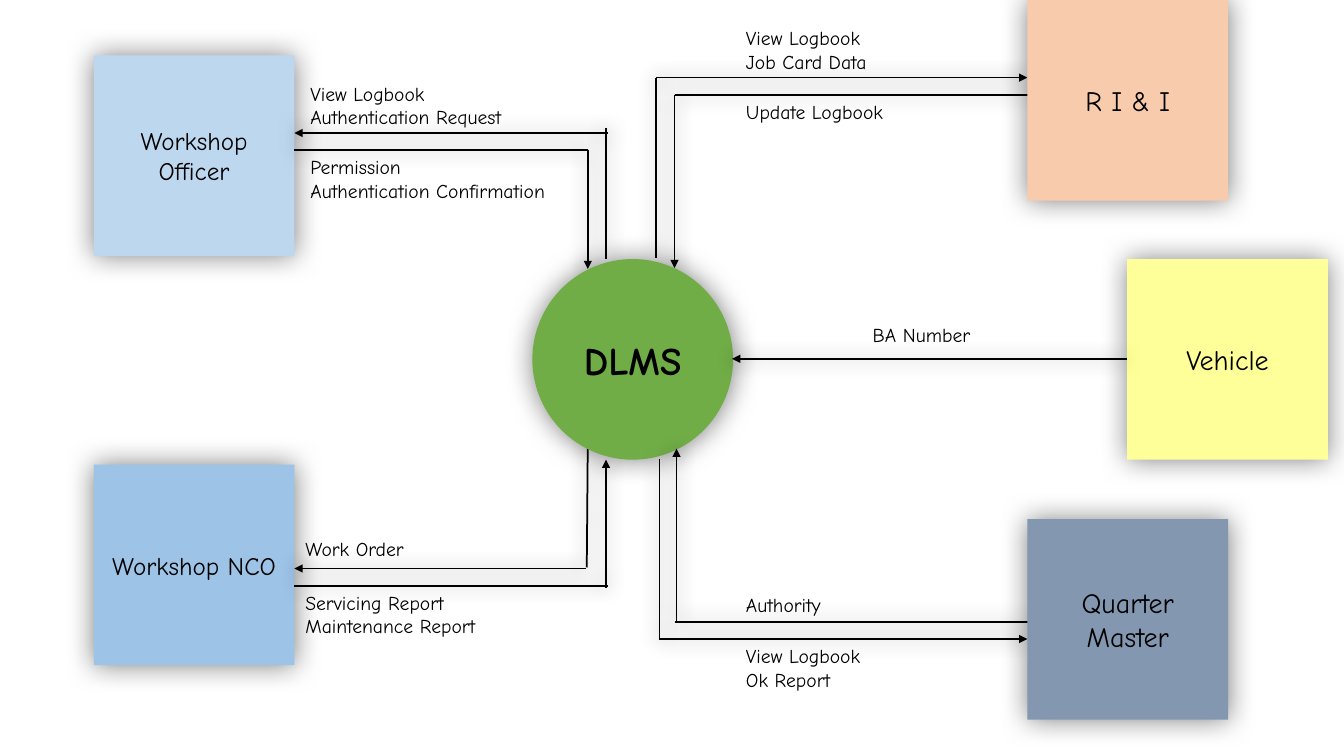
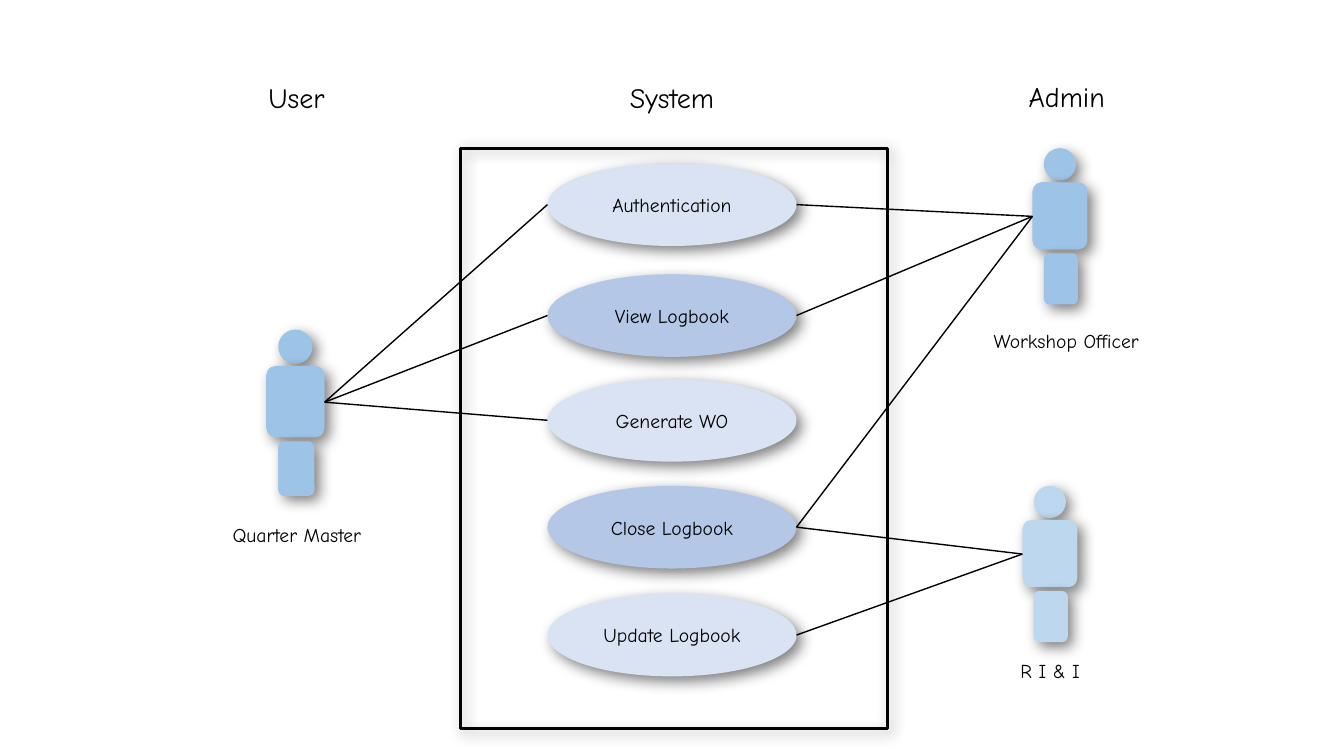
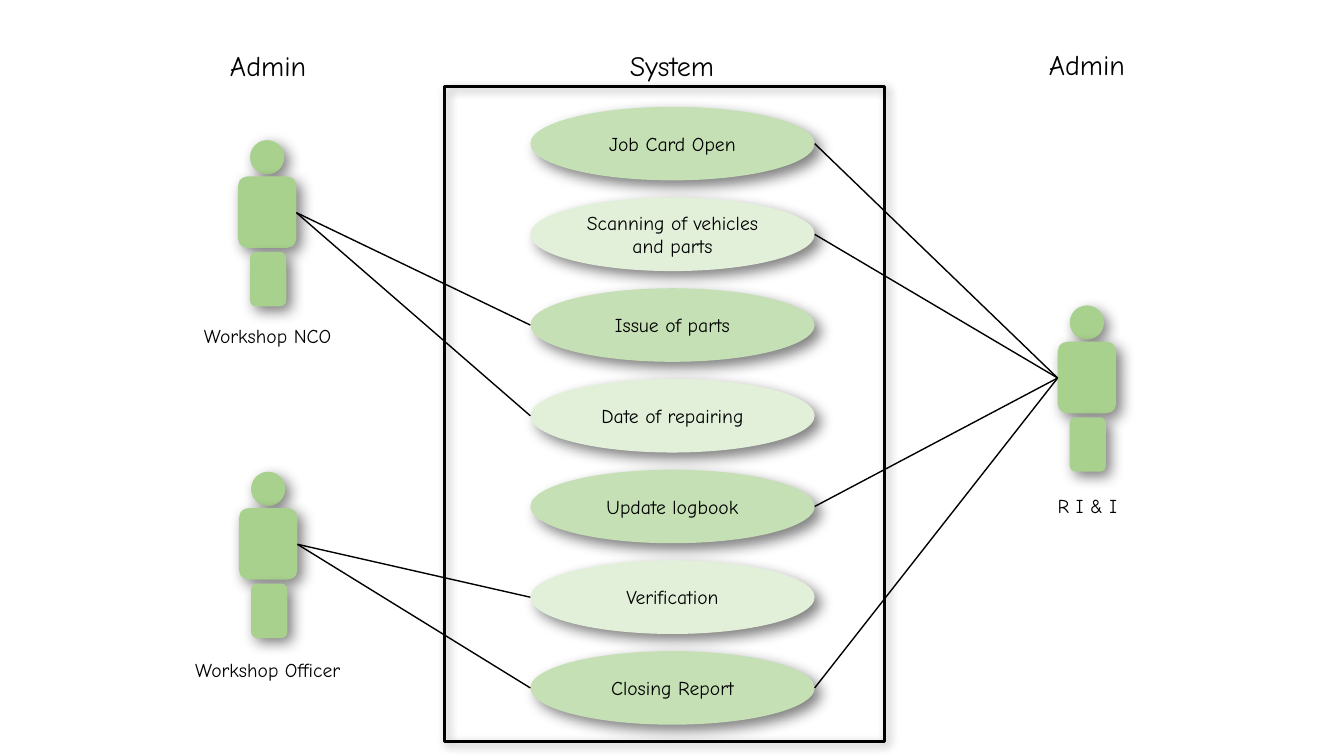
from lxml import etree
from pptx import Presentation
from pptx.dml.color import RGBColor
from pptx.enum import shapes, text
from pptx.oxml.ns import qn
from pptx.util import Inches, Pt

FONT = "Comic Neue"
COLORS = {
    "black": "000000", "yellow": "FFFF99", "peach": "F8CBAD", "slate": "8497B0",
    "green": "70AD47", "sky": "BDD7EE", "blue": "9DC3E6",
    "case blue": "B4C7E7", "case pale blue": "DAE3F3",
    "leaf": "A9D18E", "case green": "C5E0B4", "case pale green": "E2F0D9",
}
# Shadows: opacity %, blur pt, distance pt, direction in degrees
BOX_SHADOW, LINE_SHADOW = (50, 20, 0, 0), (50, 13, 0, 0)
PERSON_SHADOW = (50, 10, 5, 45)
RECT, OVAL, ROUND = (shapes.MSO_SHAPE.RECTANGLE, shapes.MSO_SHAPE.OVAL,
                     shapes.MSO_SHAPE.ROUNDED_RECTANGLE)

# Context diagram: label, left, top, colour, text size
SIDE = 1.99
BACK_BOXES = [
    ("Vehicle", 11.18, 2.57, "yellow", 20),
    ("Workshop Officer", 0.93, 0.55, "sky", 18),
    ("Workshop NCO", 0.93, 4.61, "blue", 18),
]
FRONT_BOXES = [
    ("Quarter Master", 10.19, 5.15, "slate", 20),
    ("R I & I", 10.19, 0, "peach", 20),
]
HUB = ("DLMS", 5.28, 2.57, "green", 28)
# Flows: from, to, arrowhead at the end
BACK_FLOWS = [
    ((6.01, 1.27), (6.01, 2.57), False),
    ((6.03, 1.32), (2.92, 1.32), True),
    ((5.83, 1.49), (5.83, 2.67), True),
    ((5.83, 1.49), (2.92, 1.49), False),
    ((6.01, 5.83), (6.01, 4.56), True),
    ((2.92, 5.81), (6.03, 5.81), False),
    ((5.83, 4.37), (5.82, 5.63), False),
    ((5.81, 5.64), (2.92, 5.64), True),
    ((6.51, 0.77), (6.51, 2.56), False),
    ((6.51, 0.77), (10.19, 0.77), True),
    ((6.69, 0.94), (6.69, 2.66), True),
    ((6.69, 0.94), (10.49, 0.94), False),
]
FRONT_FLOWS = [
    ((6.54, 6.34), (6.54, 4.55), False),
    ((6.54, 6.34), (10.19, 6.34), True),
    ((6.71, 6.17), (6.71, 4.45), True),
    ((6.69, 6.17), (10.49, 6.17), False),
]
VEHICLE_FLOW = ((11.18, 3.56), (7.26, 3.56), True)
# Flow labels: left, top, width, lines
FLOW_LABELS = [
    (2.98, 1.49, 2.79, ["Permission", "Authentication Confirmation"]),
    (2.98, 0.76, 2.34, ["View Logbook", "Authentication Request"]),
    (2.93, 5.81, 2.02, ["Servicing Report", "Maintenance Report"]),
    (2.93, 5.28, 1.33, ["Work Order"]),
    (7.3, 6.34, 1.42, ["View Logbook", "Ok Report"]),
    (7.3, 5.83, 1.09, ["Authority"]),
    (7.3, 0.94, 1.72, ["Update Logbook"]),
    (7.3, 0.21, 1.52, ["View Logbook", "Job Card Data"]),
]

# Use case diagrams. Headings: text, left, top, width.
# Actors: name, left, top, scale, colour, label place, side, linked cases.
USE_CASES = [
    {
        "headings": [("User", 2.31, 0.75, 1.26), ("System", 5.88, 0.75, 1.57),
                     ("Admin", 9.94, 0.74, 1.28)],
        "frame": (4.57, 1.47, 4.23, 5.76), "frame shadow": (40, 10, 3, 45),
        "case size": (5.43, 2.47, 0.82), "case shadow": (50, 10, 5, 45),
        "case colors": ("case pale blue", "case blue"),
        "cases": ["Authentication", "View Logbook", "Generate WO",
                  "Close Logbook", "Update Logbook"],
        "tops": [1.62, 2.72, 3.76, 4.82, 5.89],
        "actors": [
            ("Quarter Master", 2.64, 3.27, 1, "blue", (1.86, 5.14), "left", [0, 1, 2]),
            ("Workshop Officer", 10.24, 1.47, 0.94, "blue", (9.49, 3.21), "right", [3, 1, 0]),
            ("R I & I", 10.14, 4.82, 0.94, "sky", (9.33, 6.49), "right", [4, 3]),
        ],
    },
    {
        "headings": [("Admin", 2.03, 0.43, 1.26), ("System", 5.88, 0.43, 1.57),
                     ("Admin", 10.14, 0.42, 1.28)],
        "frame": (4.41, 0.86, 4.36, 6.5), "frame shadow": (40, 7, 3, 45),
        "case size": (5.26, 2.82, 0.73), "case shadow": (50, 10, 6, 45),
        "case colors": ("case green", "case pale green"),
        "cases": ["Job Card Open", "Scanning of vehicles and parts", "Issue of parts",
                  "Date of repairing", "Update logbook", "Verification",
                  "Closing Report"],
        "tops": [1.06 + 0.9 * i for i in range(7)],
        "actors": [
            ("Workshop NCO", 2.36, 1.39, 1, "leaf", (1.57, 3.16), "left", [2, 3]),
            ("Workshop Officer", 2.37, 4.68, 1, "leaf", (1.57, 6.48), "left", [5, 6]),
            ("R I & I", 10.49, 3.03, 1, "leaf", (9.7, 4.85), "right", [0, 1, 4, 6]),
        ],
    },
]
# Person at scale 1: shape, left, top, width, height
PERSON = [(OVAL, 0.12, 0, 0.34, 0.34), (ROUND, 0, 0.36, 0.58, 0.71),
          (ROUND, 0.12, 1.11, 0.36, 0.54)]
BODY_WIDTH, ARM_HEIGHT = 0.58, 0.72


def rgb(name):
    return RGBColor.from_string(COLORS[name])


def set_shadow(sp, shadow=None):
    """Replace the theme shadow; call after fill and line are set."""
    effects = etree.SubElement(sp._element.spPr, qn("a:effectLst"))
    if shadow:
        opacity, blur, distance, angle = shadow
        outer = etree.SubElement(
            effects, qn("a:outerShdw"), blurRad=str(Pt(blur)), dist=str(Pt(distance)),
            dir=str(angle * 60000), algn="ctr", rotWithShape="0")
        color = etree.SubElement(outer, qn("a:srgbClr"), val=COLORS["black"])
        etree.SubElement(color, qn("a:alpha"), val=str(opacity * 1000))


def write(sp, lines, size=14, bold=False, center=True, middle=False, wrap=True, grow=False):
    tf = sp.text_frame
    tf.word_wrap = wrap
    tf.vertical_anchor = text.MSO_ANCHOR.MIDDLE if middle else text.MSO_ANCHOR.TOP
    tf.auto_size = (text.MSO_AUTO_SIZE.SHAPE_TO_FIT_TEXT if grow
                    else text.MSO_AUTO_SIZE.NONE)
    for i, line in enumerate(lines):
        p = tf.add_paragraph() if i else tf.paragraphs[0]
        p.alignment = text.PP_ALIGN.CENTER if center else text.PP_ALIGN.LEFT
        r = p.add_run()
        r.text = line
        r.font.name, r.font.size, r.font.bold = FONT, Pt(size), bold
        r.font.color.rgb = rgb("black")


def add_shape(parent, kind, at, fill=None, line=None, shadow=None):
    sp = parent.shapes.add_shape(kind, *map(Inches, at))
    if fill:
        sp.fill.solid()
        sp.fill.fore_color.rgb = rgb(fill)
    else:
        sp.fill.background()
    if line:
        sp.line.color.rgb = rgb("black")
        sp.line.width = Pt(line)
    else:
        sp.line.fill.background()
    set_shadow(sp, shadow)
    return sp


def add_label(s, at, lines, **fmt):
    write(s.shapes.add_textbox(*map(Inches, at)), lines, grow=True, **fmt)


def add_line(s, start, end, width=1, arrow=False, shadow=None):
    line = s.shapes.add_connector(shapes.MSO_CONNECTOR.STRAIGHT,
                                  *map(Inches, start + end))
    line.line.color.rgb = rgb("black")
    line.line.width = Pt(width)
    if arrow:
        etree.SubElement(line.line._get_or_add_ln(), qn("a:tailEnd"), type="triangle")
    set_shadow(line, shadow)


def add_flows(s, flows):
    for start, end, arrow in flows:
        add_line(s, start, end, 1.25, arrow, LINE_SHADOW)


def add_boxes(s, boxes, kind=RECT, bold=False):
    for label, left, top, color, size in boxes:
        sp = add_shape(s, kind, (left, top, SIDE, SIDE), color, shadow=BOX_SHADOW)
        write(sp, [label], size=size, bold=bold, middle=True)


def add_person(s, left, top, scale, color):
    group = s.shapes.add_group_shape()
    for kind, x, y, w, h in PERSON:
        at = (left + x * scale, top + y * scale, w * scale, h * scale)
        add_shape(group, kind, at, color, shadow=PERSON_SHADOW)


def build_context(s):
    add_boxes(s, BACK_BOXES)
    add_flows(s, BACK_FLOWS)
    add_boxes(s, [HUB], OVAL, bold=True)
    add_flows(s, FRONT_FLOWS)
    add_boxes(s, FRONT_BOXES)
    add_flows(s, [VEHICLE_FLOW])
    sp = add_shape(s, ROUND, (8.38, 3.1, 1.52, 0.45))
    sp.adjustments[0] = 0.45
    write(sp, ["BA Number"], grow=True)
    for left, top, width, lines in FLOW_LABELS:
        add_label(s, (left, top, width, 0.33 + 0.24 * (len(lines) - 1)), lines,
                  center=False, wrap=False)


def build_use_case(s, data):
    case_left, case_width, case_height = data["case size"]
    # Use cases
    for i, (case, top) in enumerate(zip(data["cases"], data["tops"])):
        sp = add_shape(s, OVAL, (case_left, top, case_width, case_height),
                       data["case colors"][i % 2], shadow=data["case shadow"])
        write(sp, [case], middle=True)
    # Actors and their links
    for name, left, top, scale, color, label_at, side, linked in data["actors"]:
        add_person(s, left, top, scale, color)
        add_label(s, label_at + (2.17, 0.34), [name])
        on_left = side == "left"
        arm = (left + BODY_WIDTH * scale if on_left else left, top + ARM_HEIGHT * scale)
        edge = case_left if on_left else case_left + case_width
        for i in linked:
            add_line(s, arm, (edge, data["tops"][i] + case_height / 2))
    # Headings and system frame
    for heading, left, top, width in data["headings"]:
        add_label(s, (left, top, width, 0.44), [heading], size=20)
    add_shape(s, RECT, data["frame"], line=2, shadow=data["frame shadow"])


def main():
    prs = Presentation()
    prs.slide_width, prs.slide_height = Inches(13.33), Inches(7.5)
    blank = prs.slide_layouts[6]
    build_context(prs.slides.add_slide(blank))
    for data in USE_CASES:
        build_use_case(prs.slides.add_slide(blank), data)
    prs.save("out.pptx")


if __name__ == "__main__":
    main()
